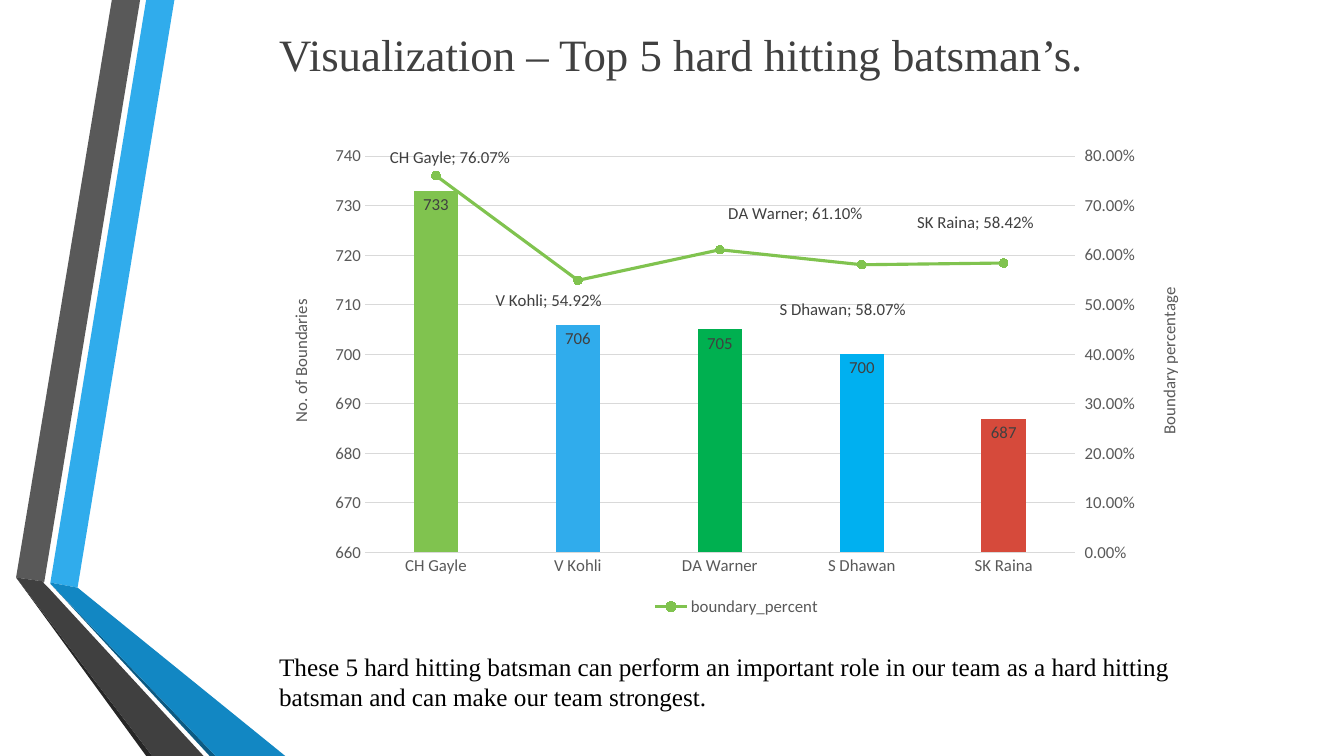
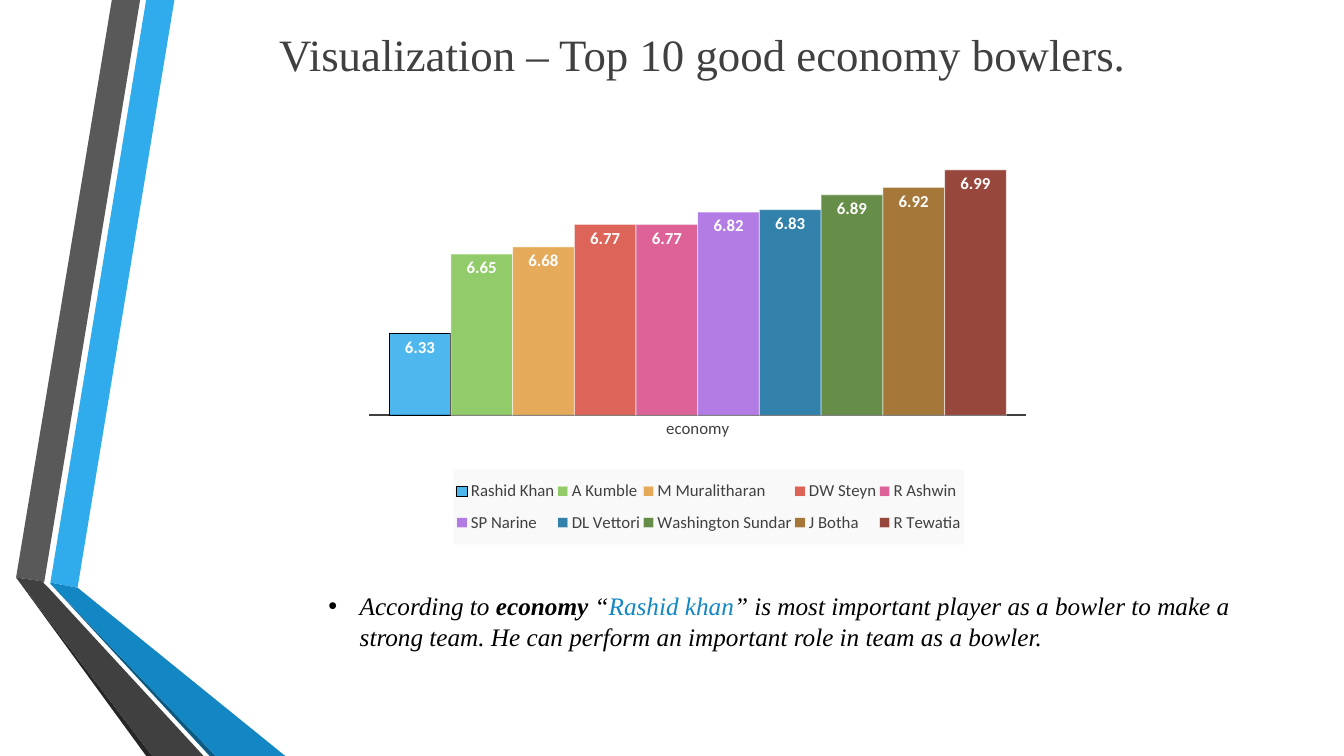
from copy import deepcopy

from pptx import Presentation
from pptx import util as u
from pptx.chart.axis import CategoryAxis, ValueAxis
from pptx.chart.data import CategoryChartData
from pptx.dml.color import RGBColor
from pptx.enum import chart as charts
from pptx.oxml.ns import qn
from pptx.oxml.xmlchemy import OxmlElement

PX = 9144  # EMU per px, 100 px to the inch
SLIDE_SIZE = (1333, 750)

BLACK, WHITE = "000000", "FFFFFF"
DARK, GREY, PALE = "404040", "595959", "D9D9D9"
BLUE, DEEP_BLUE, GREEN = "30ACEC", "1287C3", "80C34F"
TITLE_BOX = (267, 22, 1011, 64)
SERIF, SANS = "Times New Roman", "Calibri"

RIBBONS = [
    (BLUE, [(50, 578), (77, 583), (173, 0), (145, 0)]),
    (GREY, [(139, 0), (111, 0), (16, 573), (44, 577)]),
    ("262626", [(16, 573), (145, 750), (151, 750)]),
    ("0C5A82", [(50, 579), (208, 750), (214, 750)]),
    (DEEP_BLUE, [(50, 579), (214, 750), (283, 750), (77, 583), (50, 578)]),
    (DARK, [(202, 750), (48, 583), (43, 578), (44, 577), (16, 573), (151, 750)]),
]

BATSMEN_TITLE = "Visualization – Top 5 hard hitting batsman’s."
BATSMEN_BOX = (267, 135, 927, 481)
BATSMEN_PLOT = (95, 20, 704, 393)
BATSMEN_NOTE_BOX = (267, 641, 911, 71)
BATSMEN_NOTE = [
    ("These 5 hard hitting batsman can perform an important role in our team "
     "as a hard hitting batsman and can make our team strongest.", {}),
]
# name, boundaries, boundary share, bar colour, shift of the share label
BATSMEN = [
    ("CH Gayle", 733, 0.7607, GREEN, (14, 0)),
    ("V Kohli", 706, 0.5492, BLUE, (-29, 38)),
    ("DA Warner", 705, 0.611, "00B050", (75, -18)),
    ("S Dhawan", 700, 0.5807, "00B0F0", (-19, 63)),
    ("SK Raina", 687, 0.5842, "D64A3B", (-28, -22)),
]

BOWLERS_TITLE = "Visualization – Top 10 good economy bowlers."
BOWLERS_BOX = (344, 97, 696, 486)
BOWLERS_PLOT = (22, 20, 652, 295)
BOWLERS_LEGEND = (106, 369, 506, 74)
BOWLERS_NOTE_BOX = (316, 581, 916, 71)
BOWLERS_NOTE = [
    ("According to ", {}),
    ("economy", {"bold": True}),
    (" “", {}),
    ("Rashid khan", {"color": DEEP_BLUE}),
    ("” is most important player as a bowler to make a strong team. "
     "He can perform an important role in team as a bowler.", {}),
]
BOWLERS = [
    ("Rashid Khan", 6.33, BLUE),
    ("A Kumble", 6.65, GREEN),
    ("M Muralitharan", 6.68, "E29D3E"),
    ("DW Steyn", 6.77, "D64A3B"),
    ("R Ashwin", 6.77, "D64787"),
    ("SP Narine", 6.82, "A666E1"),
    ("DL Vettori", 6.83, "0E6C9C"),
    ("Washington Sundar", 6.89, "4C7B2A"),
    ("J Botha", 6.92, "966117"),
    ("R Tewatia", 6.99, "87271C"),
]


def rgb(color):
    return RGBColor.from_string(color)


def emu(lengths):
    return [length * PX for length in lengths]


def element(tag, **attributes):
    node = OxmlElement(tag)
    for name, value in attributes.items():
        node.set(name, str(value))
    return node


def paint(fill, color, alpha=None):
    """Make a fill solid, with an optional opacity in percent."""
    fill.solid()
    fill.fore_color.rgb = rgb(color)
    if alpha is not None:
        for node in fill._xPr.iter(qn("a:srgbClr")):
            if node.getparent().getparent() is fill._xPr:
                node.append(element("a:alpha", val=alpha * 1000))


def set_line(line, color, width, alpha=None):
    line.width = u.Pt(width)
    paint(line.fill, color, alpha)


def set_font(font, color, size=12, name=SANS, bold=False, italic=False):
    font.name, font.size = name, u.Pt(size)
    font.bold, font.italic = bold, italic
    font.color.rgb = rgb(color)


def add_text(slide, box, runs, size, color=BLACK, italic=False, bullet=False):
    frame = slide.shapes.add_textbox(*emu(box)).text_frame
    frame.word_wrap = True
    paragraph = frame.paragraphs[0]
    set_font(paragraph.font, color, size, SERIF, italic=italic)
    for words, style in runs:
        run = paragraph.add_run()
        run.text = words
        set_font(run.font, style.get("color", color), size, SERIF,
                 style.get("bold", False), italic)
    if bullet:
        properties = paragraph._p.get_or_add_pPr()
        properties.set("marL", str(31 * PX))
        properties.set("indent", str(-31 * PX))
        properties.insert(0, element("a:buFont", typeface="Arial"))
        properties.insert(1, element("a:buChar", char="•"))


def add_base_slide(presentation, title):
    """Add a blank slide with the folded ribbons and the title."""
    slide = presentation.slides.add_slide(presentation.slide_layouts[6])
    for color, points in RIBBONS:
        builder = slide.shapes.build_freeform(*points[0], scale=PX)
        builder.add_line_segments(points[1:], close=True)
        ribbon = builder.convert_to_shape()
        ribbon.shadow.inherit = False
        paint(ribbon.fill, color)
        ribbon.line.fill.background()
    add_text(slide, TITLE_BOX, [(title, {})], 32, DARK)
    return slide


def place(parent, after, box, chart_box, edge=True, inner=False):
    """Give a chart part a manual layout, right after the named child."""
    for old in parent.findall(qn("c:layout")):
        parent.remove(old)
    layout, manual = element("c:layout"), element("c:manualLayout")
    layout.append(manual)
    if inner:
        manual.append(element("c:layoutTarget", val="inner"))
    if edge:
        manual.append(element("c:xMode", val="edge"))
        manual.append(element("c:yMode", val="edge"))
    for key, length, whole in zip("xywh", box, chart_box[2:] * 2):
        manual.append(element("c:" + key, val=round(length / whole, 4)))
    if after:
        parent.find(qn(after)).addnext(layout)
    else:
        parent.insert(0, layout)


def add_column_chart(slide, box, plot_box, data, gap, overlap, text_color):
    chart = slide.shapes.add_chart(
        charts.XL_CHART_TYPE.COLUMN_CLUSTERED, *emu(box), data).chart
    chart.has_title = False
    set_font(chart.font, BLACK)
    plot = chart.plots[0]
    plot.vary_by_categories = False
    plot.gap_width, plot.overlap = gap, overlap
    place(chart._chartSpace.chart.plotArea, None, plot_box, box, inner=True)
    chart.has_legend = True
    chart.legend.position = charts.XL_LEGEND_POSITION.BOTTOM
    chart.legend.include_in_layout = False
    set_font(chart.legend.font, text_color)
    axis = chart.category_axis
    axis.major_tick_mark = charts.XL_TICK_MARK.NONE
    set_font(axis.tick_labels.font, text_color)
    return chart


def label_inside(series, color, bold=False):
    labels = series.data_labels
    labels.show_value = True
    labels.position = charts.XL_LABEL_POSITION.INSIDE_END
    set_font(labels.font, color, bold=bold)


def move_to_right_axis(chart):
    """Turn the last column series into a line on a second value axis."""
    category, value = chart.category_axis._element, chart.value_axis._element
    bars = chart.plots[0]._element
    series = bars.findall(qn("c:ser"))[-1]
    for node in series.findall(qn("c:invertIfNegative")):
        series.remove(node)
    ids = ("50010", "50020")
    line_chart = element("c:lineChart")
    line_chart.append(element("c:grouping", val="standard"))
    line_chart.append(element("c:varyColors", val=0))
    line_chart.append(series)
    line_chart.append(element("c:marker", val=1))
    for axis_id in ids:
        line_chart.append(element("c:axId", val=axis_id))
    bars.addnext(line_chart)

    right_category, right_value = deepcopy(category), deepcopy(value)
    value.addnext(right_value)
    right_value.addnext(right_category)
    for node, (own, other) in ((right_category, ids), (right_value, ids[::-1])):
        node.find(qn("c:axId")).set("val", own)
        node.find(qn("c:crossAx")).set("val", other)
    right_value.find(qn("c:axPos")).set("val", "r")
    right_value.find(qn("c:crosses")).set("val", "max")
    CategoryAxis(right_category).visible = False
    right_axis = ValueAxis(right_value)
    right_axis.tick_label_position = charts.XL_TICK_LABEL_POSITION.HIGH
    return right_axis


def style_value_axis(axis, title, title_at, chart_box, scale, number_format):
    axis.minimum_scale, axis.maximum_scale, axis.major_unit = scale
    axis.major_tick_mark = charts.XL_TICK_MARK.NONE
    axis.format.line.fill.background()
    axis.tick_labels.number_format = number_format
    axis.tick_labels.number_format_is_linked = False
    set_font(axis.tick_labels.font, GREY)
    frame = axis.axis_title.text_frame
    frame.text = title
    set_font(frame.paragraphs[0].font, GREY)
    frame._txBody.bodyPr.set("rot", "-5400000")
    frame._txBody.bodyPr.set("vert", "horz")
    place(axis.axis_title._element, "c:tx", title_at, chart_box)


def add_batsmen(presentation):
    slide = add_base_slide(presentation, BATSMEN_TITLE)
    names, boundaries, shares, colors, shifts = zip(*BATSMEN)
    data = CategoryChartData()
    data.categories = names
    data.add_series("Series 1", boundaries)
    data.add_series("boundary_percent", shares, "0.00%")
    chart = add_column_chart(slide, BATSMEN_BOX, BATSMEN_PLOT, data, 219, -27, GREY)
    set_line(chart.category_axis.format.line, PALE, 0.75)
    left_axis = chart.value_axis
    right_axis = move_to_right_axis(chart)
    style_value_axis(left_axis, "No. of Boundaries", (17, 159),
                     BATSMEN_BOX, (660, 740, 10), "General")
    style_value_axis(right_axis, "Boundary percentage", (878, 147),
                     BATSMEN_BOX, (0, 0.8, 0.1), "0.00%")
    set_line(left_axis.major_gridlines.format.line, PALE, 0.75)
    right_axis.has_major_gridlines = False

    columns, line = chart.plots[0].series[0], chart.plots[1].series[0]
    paint(columns.format.fill, BLUE)
    label_inside(columns, DARK)
    line.smooth = False
    set_line(line.format.line, GREEN, 2.25)
    line.marker.style, line.marker.size = charts.XL_MARKER_STYLE.CIRCLE, 6
    paint(line.marker.format.fill, GREEN)
    set_line(line.marker.format.line, GREEN, 0.75)
    for index, (color, shift) in enumerate(zip(colors, shifts)):
        paint(columns.points[index].format.fill, color)
        label = line.points[index].data_label
        set_font(label.font, DARK)
        label.position = charts.XL_LABEL_POSITION.ABOVE
        node = label._dLbl
        node.find(qn("c:showCatName")).set("val", "1")
        separator = element("c:separator")
        separator.text = "; "
        node.append(separator)
        place(node, "c:idx", shift, BATSMEN_BOX, edge=False)
    labels = line._element.find(qn("c:dLbls"))
    for leader in labels.findall(qn("c:showLeaderLines")):
        labels.remove(leader)
    labels.append(element("c:showLeaderLines", val=0))

    entry = element("c:legendEntry")
    entry.append(element("c:idx", val=0))
    entry.append(element("c:delete", val=1))
    chart.legend._element.find(qn("c:legendPos")).addnext(entry)
    add_text(slide, BATSMEN_NOTE_BOX, BATSMEN_NOTE, 18)


def add_bowlers(presentation):
    slide = add_base_slide(presentation, BOWLERS_TITLE)
    data = CategoryChartData()
    data.categories = ["economy"]
    for name, economy, _ in BOWLERS:
        data.add_series(name, [economy])
    chart = add_column_chart(slide, BOWLERS_BOX, BOWLERS_PLOT, data, 65, 0, DARK)
    set_line(chart.category_axis.format.line, DARK, 1.5)
    axis = chart.value_axis
    axis.minimum_scale, axis.maximum_scale = 6, 7.2
    axis.has_major_gridlines = False
    axis.visible = False
    for index, (series, bowler) in enumerate(zip(chart.plots[0].series, BOWLERS)):
        paint(series.format.fill, bowler[2], 85)
        outline = (WHITE, 0.75, 50) if index else (BLACK, 0.75)
        set_line(series.format.line, *outline)
        label_inside(series, WHITE, bold=True)

    legend = chart.legend._element
    place(legend, "c:legendPos", BOWLERS_LEGEND, BOWLERS_BOX)
    background, fill = element("c:spPr"), element("a:solidFill")
    fill.append(element("a:srgbClr", val="F9F9F9"))
    background.append(fill)
    legend.find(qn("c:overlay")).addnext(background)
    add_text(slide, BOWLERS_NOTE_BOX, BOWLERS_NOTE, 18, italic=True, bullet=True)


def main():
    presentation = Presentation()
    presentation.slide_width, presentation.slide_height = emu(SLIDE_SIZE)
    add_batsmen(presentation)
    add_bowlers(presentation)
    presentation.save("out.pptx")


if __name__ == "__main__":
    main()
